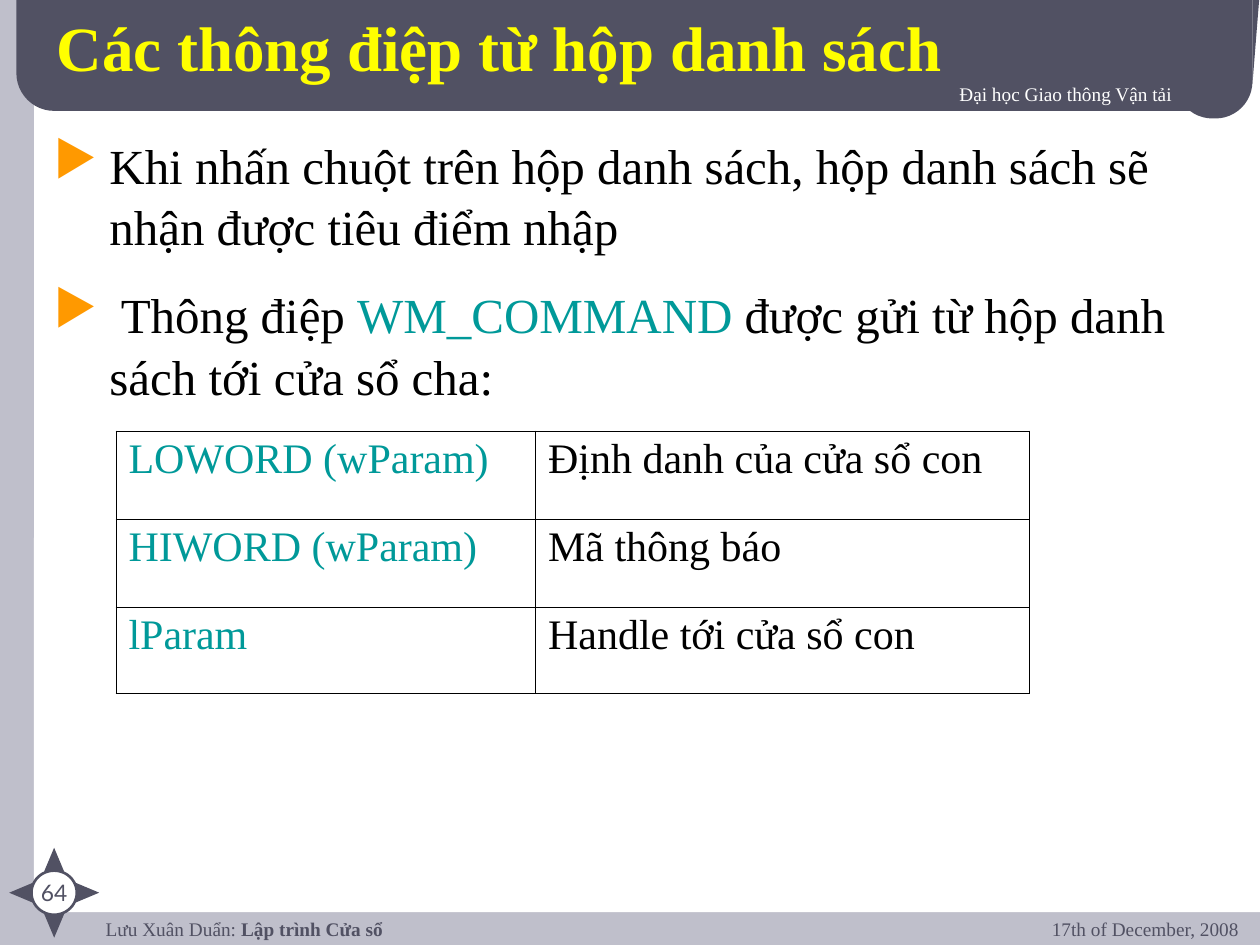
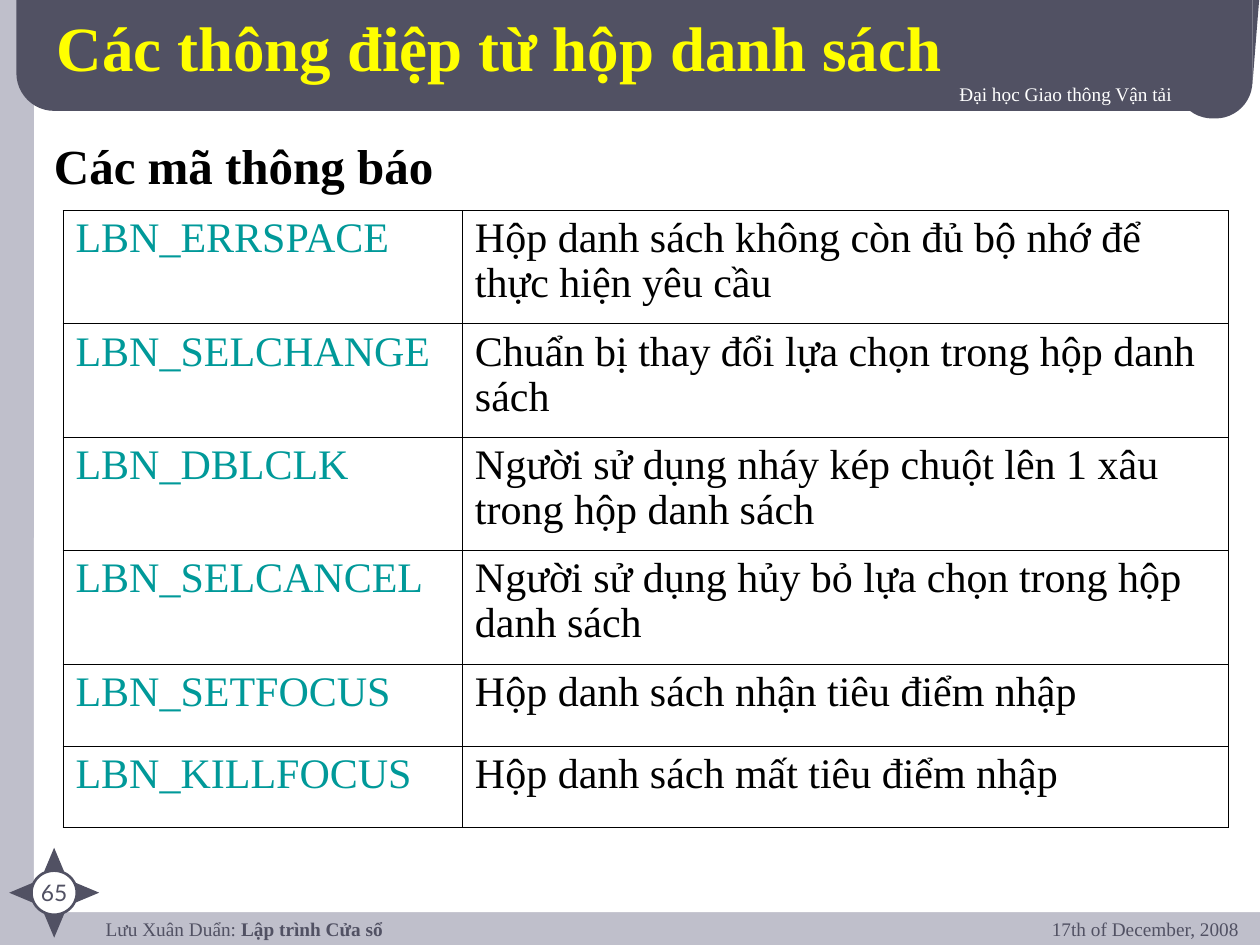
"""Build two slides on list box messages, measured on a grid of 100 columns by 75 rows."""
from math import cos, radians, sin

from lxml.etree import SubElement
from pptx import Presentation
from pptx.dml.color import RGBColor
from pptx.enum.shapes import MSO_SHAPE
from pptx.enum.text import MSO_ANCHOR, PP_ALIGN
from pptx.oxml.ns import qn
from pptx.util import Inches, Pt

SLATE, MIST, WHITE, BLACK = "515163", "BFBFCB", "FFFFFF", "000000"
YELLOW, TEAL, ORANGE = "FFFF00", "009999", "FF9900"
SERIF = "Times New Roman"
rgb = RGBColor.from_string

prs = Presentation()
prs.slide_width, prs.slide_height = Inches(10), Inches(7.5)
COL, ROW = prs.slide_width / 100, prs.slide_height / 75


def grid(x, y, w, h):
    return [round(v * unit) for v, unit in zip((x, y, w, h), (COL, ROW) * 2)]


def write(p, text, color, shadow=False, **fmt):
    r = p.add_run()
    r.text = text
    for key, value in {"name": SERIF, "size": Pt(11), **fmt}.items():
        setattr(r.font, key, value)
    r.font.color.rgb = rgb(color)
    if shadow:
        fx = SubElement(r.font._element, qn("a:effectLst"))
        drop = SubElement(fx, qn("a:outerShdw"), dist="25400", dir="2700000")
        SubElement(drop, qn("a:srgbClr"), val=BLACK)
        r.font._element.find(qn("a:solidFill")).addnext(fx)


bg = prs.slide_master.background.fill
bg.solid()
bg.fore_color.rgb = rgb(MIST)

HUB_X, HUB_Y, REACH = 4.3, 70.85, 2.62
frame_shapes = [
    (MSO_SHAPE.ROUNDED_RECTANGLE, (2.7, -1.3, 100.1, 73.7), WHITE, 0.022, 0),
    (MSO_SHAPE.ROUNDED_RECTANGLE, (1.3, -3.6, 98.1, 12.4), SLATE, 0.242, 0),
    (MSO_SHAPE.ROUNDED_RECTANGLE, (93.3, 2.9, 6.1, 6.5), SLATE, 0.48, 0),
    (MSO_SHAPE.RIGHT_TRIANGLE, (99.4, -0.8, 0.6, 7.5), SLATE, None, 0),
]
for angle in range(0, 360, 90):
    x = HUB_X + REACH * sin(radians(angle)) - 0.8
    y = HUB_Y - REACH * cos(radians(angle)) - 0.95
    frame_shapes.append((MSO_SHAPE.ISOSCELES_TRIANGLE, (x, y, 1.6, 1.9), SLATE, None, angle))
frame_shapes.append((MSO_SHAPE.OVAL, (HUB_X - 1.8, HUB_Y - 1.75, 3.6, 3.5), WHITE, None, 0))

frame_texts = [
    ((7.4, 72.8, 77.4, 3.3), 0, PP_ALIGN.LEFT, SLATE,
     [("Lưu Xuân Duẩn: ", False), ("Lập trình Cửa sổ", True)]),
    ((30.3, 6, 63.7, 3.8), 0.5, PP_ALIGN.RIGHT, WHITE, [("Đại học Giao thông Vận tải", False)]),
    ((75.2, 72.3, 24.1, 4.2), 0.5, PP_ALIGN.RIGHT, SLATE, [("17th of December, 2008", False)]),
]

pages = [
    {
        "number": 64,
        "body": (3.3, 10, 94.2, 22),
        "bullets": True,
        "paragraphs": [
            [("Khi nhấn chuột trên hộp danh sách, hộp danh sách sẽ nhận được tiêu điểm nhập", BLACK)],
            [(" Thông điệp ", BLACK), ("WM_COMMAND", TEAL),
             (" được gửi từ hộp danh sách tới cửa sổ cha:", BLACK)],
        ],
        "corner": (9.2, 34.2),
        "cols": [33.3, 39.2],
        "rows": [7, 7, 6.8],
        "cells": [
            ("LOWORD (wParam)", "Định danh của cửa sổ con"),
            ("HIWORD (wParam)", "Mã thông báo"),
            ("lParam", "Handle tới cửa sổ con"),
        ],
    },
    {
        "number": 65,
        "body": (3.3, 10, 35.8, 5.7),
        "bullets": False,
        "paragraphs": [[("Các mã thông báo", BLACK)]],
        "corner": (5, 16.7),
        "cols": [31.7, 60.8],
        "rows": [9] * 4 + [6.5] * 2,
        "cells": [
            ("LBN_ERRSPACE", "Hộp danh sách không còn đủ bộ nhớ để thực hiện yêu cầu"),
            ("LBN_SELCHANGE", "Chuẩn bị thay đổi lựa chọn trong hộp danh sách"),
            ("LBN_DBLCLK", "Người sử dụng nháy kép chuột lên 1 xâu trong hộp danh sách"),
            ("LBN_SELCANCEL", "Người sử dụng hủy bỏ lựa chọn trong hộp danh sách"),
            ("LBN_SETFOCUS", "Hộp danh sách nhận tiêu điểm nhập"),
            ("LBN_KILLFOCUS", "Hộp danh sách mất tiêu điểm nhập"),
        ],
    },
]

for page in pages:
    s = prs.slides.add_slide(prs.slide_layouts[5])

    for kind, place, color, rounding, angle in frame_shapes:
        sp = s.shapes.add_shape(kind, *grid(*place))
        sp.shadow.inherit = False
        sp.fill.solid()
        sp.fill.fore_color.rgb = rgb(color)
        sp.line.fill.background()
        sp.rotation = angle
        if rounding is not None:
            sp.adjustments[0] = rounding
        if kind == MSO_SHAPE.RIGHT_TRIANGLE:
            sp.element.spPr.xfrm.set("flipV", "1")
        if kind == MSO_SHAPE.OVAL:
            sp.line.color.rgb = rgb(SLATE)
            sp.line.width = Pt(1.5)
            tf = sp.text_frame
            for key in ("margin_left", "margin_right", "margin_top", "margin_bottom"):
                setattr(tf, key, 0)
            tf.word_wrap = False
            tf.vertical_anchor = MSO_ANCHOR.MIDDLE
            p = tf.paragraphs[0]
            p.alignment = PP_ALIGN.CENTER
            write(p, str(page["number"]), SLATE, name="Lato", size=Pt(13))

    for place, inset, align, color, runs in frame_texts:
        tf = s.shapes.add_textbox(*grid(*place)).text_frame
        tf.word_wrap = True
        tf.margin_top = tf.margin_bottom = round(inset * ROW)
        p = tf.paragraphs[0]
        p.alignment = align
        for text, bold in runs:
            write(p, text, color, shadow=color == WHITE, bold=bold)

    title = s.shapes.title
    title.left, title.top, title.width, title.height = grid(3.5, 0.8, 83.6, 5.7)
    title.element.getparent().append(title.element)
    tf = title.text_frame
    tf.vertical_anchor = MSO_ANCHOR.MIDDLE
    p = tf.paragraphs[0]
    p.alignment = PP_ALIGN.LEFT
    write(p, "Các thông điệp từ hộp danh sách", YELLOW, shadow=True, size=Pt(36), bold=True)

    tf = s.shapes.add_textbox(*grid(*page["body"])).text_frame
    tf.word_wrap = True
    for i, runs in enumerate(page["paragraphs"]):
        p = tf.add_paragraph() if i else tf.paragraphs[0]
        if page["bullets"]:
            pPr = p._p.get_or_add_pPr()
            indent = round(4.4 * COL)
            pPr.set("marL", str(indent))
            pPr.set("indent", str(-indent))
            SubElement(SubElement(pPr, qn("a:buClr")), qn("a:srgbClr"), val=ORANGE)
            SubElement(pPr, qn("a:buChar"), char="▶")
        p.line_spacing = 1.05
        if i:
            p.space_before = Pt(15)
        for text, color in runs:
            write(p, text, color, size=Pt(28), bold=not page["bullets"])

    cols, rows = page["cols"], page["rows"]
    place = grid(*page["corner"], sum(cols), sum(rows))
    table = s.shapes.add_table(len(rows), len(cols), *place).table
    table.first_row = table.horz_banding = False
    for column, width in zip(table.columns, cols):
        column.width = round(width * COL)
    for row, height, texts in zip(table.rows, rows, page["cells"]):
        row.height = round(height * ROW)
        for cell, text, color in zip(row.cells, texts, (TEAL, BLACK)):
            tcPr = cell._tc.get_or_add_tcPr()
            for side in ("lnL", "lnR", "lnT", "lnB"):
                ln = SubElement(tcPr, qn("a:" + side), w=str(Pt(0.45)))
                SubElement(SubElement(ln, qn("a:solidFill")), qn("a:srgbClr"), val=BLACK)
            cell.fill.background()
            p = cell.text_frame.paragraphs[0]
            p.line_spacing = 0.97
            write(p, text, color, size=Pt(24))

prs.save("out.pptx")
